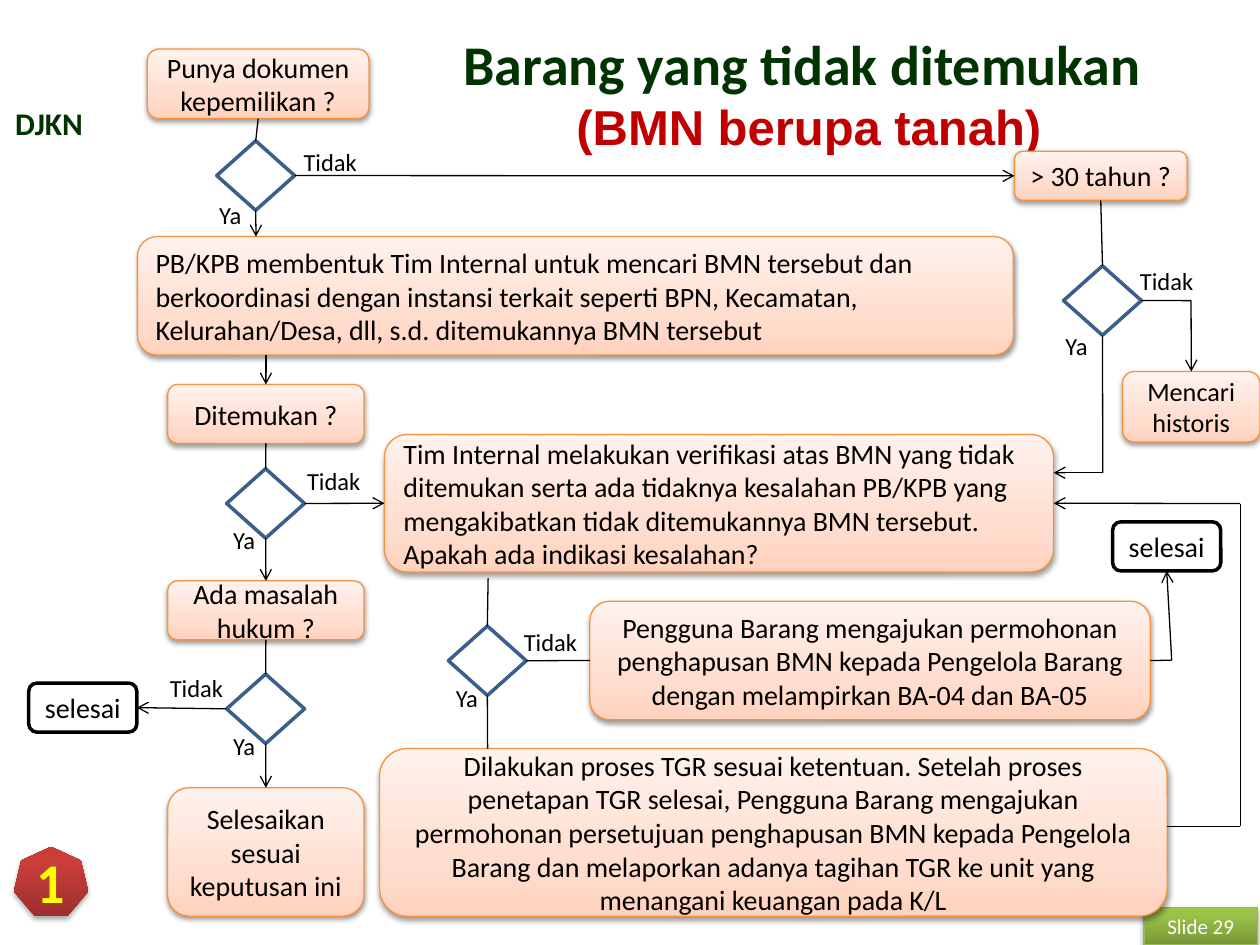
from dataclasses import dataclass
from typing import NamedTuple, Union

import lxml.etree
import pptx
import pptx.dml.color
import pptx.enum.dml
import pptx.enum.shapes
import pptx.enum.text
import pptx.oxml.ns
import pptx.util

Cm = pptx.util.Cm
Pt = pptx.util.Pt
qn = pptx.oxml.ns.qn
SHAPE = pptx.enum.shapes.MSO_SHAPE
ALIGN = pptx.enum.text.PP_ALIGN
TOP, LEFT, BOTTOM, RIGHT = range(4)
PEACH = ((0, "FFD2BD"), (35, "FFDED0"), (100, "FFF2ED"))
RED = ((0, "9C2F2D"), (80, "CB3E3A"), (100, "CE3B37"))
GREEN = ((0, "779737"), (80, "9BC348"), (100, "9DC746"))


class Point(NamedTuple):
    x: float
    y: float


class Side(NamedTuple):
    name: str
    site: int


class Link(NamedTuple):
    start: Union[Point, Side]
    end: Union[Point, Side]
    arrow: bool = False


@dataclass
class Step:
    name: str
    text: str
    x: float
    y: float
    width: float
    height: float
    size: int = 16
    align: int = ALIGN.CENTER
    final: bool = False


@dataclass
class Decision:
    name: str
    diamond: Point
    no: Point
    yes: Point
    no_align: int = ALIGN.LEFT


STEPS = [
    Step("tim", "PB/KPB membentuk Tim Internal untuk mencari BMN tersebut dan berkoordinasi dengan instansi terkait seperti BPN, Kecamatan, Kelurahan/Desa, dll, s.d. ditemukannya BMN tersebut", 2.77, 4.77, 17.66, 2.39, align=ALIGN.LEFT),
    Step("ditemukan", "Ditemukan ?", 3.38, 7.75, 3.96, 1.19),
    Step("verifikasi", "Tim Internal melakukan verifikasi atas BMN yang tidak ditemukan serta ada tidaknya kesalahan PB/KPB yang mengakibatkan tidak ditemukannya BMN tersebut. Apakah ada indikasi kesalahan?", 7.75, 8.76, 13.49, 2.77, align=ALIGN.LEFT),
    Step("tgr", "Dilakukan proses TGR sesuai ketentuan. Setelah proses penetapan TGR selesai, Pengguna Barang mengajukan permohonan persetujuan penghapusan BMN kepada Pengelola Barang dan melaporkan adanya tagihan TGR ke unit yang menangani keuangan pada K/L", 7.65, 15.09, 15.88, 3.38),
    Step("dokumen", "Punya dokumen kepemilikan ?", 2.97, 0.99, 4.47, 1.4),
    Step("tahun", "> 30 tahun ?", 20.45, 3.05, 3.48, 0.99),
    Step("historis", "Mencari historis", 22.63, 7.49, 2.77, 1.42, size=15),
    Step("penghapusan", "Pengguna Barang mengajukan permohonan penghapusan BMN kepada Pengelola Barang dengan melampirkan BA-04 dan BA-05", 11.89, 12.12, 11.3, 2.39),
    Step("hukum", "Ada masalah hukum ?", 3.38, 11.71, 3.96, 1.19),
    Step("selesai hukum", "selesai", 0.58, 13.77, 2.18, 0.99, final=True),
    Step("keputusan", "Selesaikan sesuai keputusan ini", 3.38, 15.88, 3.96, 2.59),
    Step("selesai hapus", "selesai", 22.43, 10.52, 2.18, 0.99, final=True),
]

DECISIONS = [
    Decision("dokumen?", Point(4.37, 2.84), Point(5.87, 2.84), Point(4.17, 3.91)),
    Decision("tahun?", Point(21.44, 5.36), Point(22.73, 5.23), Point(21.23, 6.55)),
    Decision("ditemukan?", Point(4.57, 9.45), Point(5.94, 9.27), Point(4.45, 10.46)),
    Decision("kesalahan?", Point(9.04, 12.62), Point(10.31, 12.52), Point(8.94, 13.64)),
    Decision("hukum?", Point(4.57, 13.59), Point(2.77, 13.44), Point(4.45, 14.61), ALIGN.RIGHT),
]

LINKS = [
    Link(Side("dokumen", BOTTOM), Side("dokumen?", TOP)),
    Link(Side("dokumen?", RIGHT), Side("tahun", LEFT), True),
    Link(Side("dokumen?", BOTTOM), Point(5.16, 4.77), True),
    Link(Side("tahun", BOTTOM), Side("tahun?", TOP)),
    Link(Side("tahun?", BOTTOM), Point(22.23, 9.53)),
    Link(Point(22.23, 9.53), Point(21.24, 9.53), True),
    Link(Side("tahun?", RIGHT), Point(24.01, 6.06)),
    Link(Point(24.01, 6.06), Side("historis", TOP), True),
    Link(Point(5.36, 7.16), Side("ditemukan", TOP), True),
    Link(Side("ditemukan", BOTTOM), Side("ditemukan?", TOP)),
    Link(Side("ditemukan?", RIGHT), Side("verifikasi", LEFT), True),
    Link(Side("ditemukan?", BOTTOM), Side("hukum", TOP), True),
    Link(Side("hukum", BOTTOM), Side("hukum?", TOP)),
    Link(Side("hukum?", LEFT), Side("selesai hukum", RIGHT), True),
    Link(Side("hukum?", BOTTOM), Side("keputusan", TOP), True),
    Link(Point(9.84, 11.66), Side("kesalahan?", TOP)),
    Link(Side("kesalahan?", RIGHT), Side("penghapusan", LEFT)),
    Link(Side("kesalahan?", BOTTOM), Point(9.83, 15.09)),
    Link(Side("penghapusan", RIGHT), Point(23.62, 13.31)),
    Link(Point(23.62, 13.31), Side("selesai hapus", BOTTOM), True),
    Link(Point(23.53, 16.66), Point(25, 16.66)),
    Link(Point(25, 16.66), Point(25, 10.15)),
    Link(Point(25, 10.15), Side("verifikasi", RIGHT), True),
]


def color(value: str):
    return pptx.dml.color.RGBColor.from_string(value)


def child(parent, tag: str, **attributes):
    return lxml.etree.SubElement(parent, qn(tag), attributes)


def style(span, size: float, value: str, bold: bool = False, font: str = "Calibri") -> None:
    span.font.size = Pt(size)
    span.font.name = font
    span.font.bold = bold
    span.font.color.rgb = color(value)


def write(box, text: str, size: float, value: str = "000000", align=ALIGN.CENTER, bold: bool = False) -> None:
    box.text_frame.word_wrap = True
    box.text_frame.text = text
    para = box.text_frame.paragraphs[0]
    para.alignment = align
    style(para.runs[0], size, value, bold)


def draw_text(page, text, x, y, width, height, size, **options):
    box = page.shapes.add_textbox(Cm(x), Cm(y), Cm(width), Cm(height))
    write(box, text, size, **options)
    box.text_frame.auto_size = pptx.enum.text.MSO_AUTO_SIZE.SHAPE_TO_FIT_TEXT


def draw_shape(page, kind, x, y, width, height, line=None, weight=0.75):
    box = page.shapes.add_shape(kind, Cm(x), Cm(y), Cm(width), Cm(height))
    box.shadow.inherit = False
    box.fill.background()
    if line:
        box.line.color.rgb = color(line)
        box.line.width = Pt(weight)
    else:
        box.line.fill.background()
    return box


def shade(box, stops, opacity: int, distance: float) -> None:
    box.fill.gradient()
    box.fill.gradient_angle = 90
    properties = box.element.spPr
    stop_list = properties.find(qn("a:gradFill")).find(qn("a:gsLst"))
    for stop in list(stop_list):
        stop_list.remove(stop)
    for position, value in stops:
        child(child(stop_list, "a:gs", pos=str(position * 1000)), "a:srgbClr", val=value)
    shadow = child(properties.find(qn("a:effectLst")), "a:outerShdw", blurRad=str(int(Pt(3.1))),
                   dist=str(int(Pt(distance))), dir="5400000", rotWithShape="0")
    child(child(shadow, "a:srgbClr", val="000000"), "a:alpha", val=str(opacity * 1000))


def draw_step(page, step: Step):
    line, weight = ("000000", 2) if step.final else ("F69240", 0.75)
    box = draw_shape(page, SHAPE.ROUNDED_RECTANGLE, step.x, step.y, step.width, step.height, line, weight)
    if step.final:
        box.fill.solid()
        box.fill.fore_color.rgb = color("FFFFFF")
    else:
        shade(box, PEACH, 38, 1.6)
    write(box, step.text, step.size, align=step.align)
    return box


def draw_decision(page, decision: Decision):
    box = draw_shape(page, SHAPE.DIAMOND, *decision.diamond, 1.57, 1.4, "3A5F8C", 2)
    draw_text(page, "Tidak", *decision.no, 1.98, 0.86, 14, align=decision.no_align)
    draw_text(page, "Ya", *decision.yes, 1.19, 0.86, 14, align=ALIGN.LEFT)
    return box


def draw_link(page, link: Link, boxes: dict) -> None:
    ends = [Cm(value) for end in (link.start, link.end)
            for value in (end if isinstance(end, Point) else (0, 0))]
    connector = page.shapes.add_connector(pptx.enum.shapes.MSO_CONNECTOR.STRAIGHT, *ends)
    for end, join in ((link.start, connector.begin_connect), (link.end, connector.end_connect)):
        if isinstance(end, Side):
            join(boxes[end.name], end.site)
    connector.line.color.rgb = color("000000")
    connector.line.width = Pt(0.75)
    properties = connector.element.spPr
    if link.arrow:
        child(properties.find(qn("a:ln")), "a:tailEnd", type="arrow")
    child(properties, "a:effectLst")


def draw_title(page) -> None:
    title = page.shapes.title
    title.left, title.top, title.width, title.height = Cm(8.05), Cm(0.76), Cm(16.51), Cm(2.21)
    frame = title.text_frame
    frame.text = "Barang yang tidak ditemukan \v(BMN berupa tanah)"
    frame.auto_size = pptx.enum.text.MSO_AUTO_SIZE.NONE
    frame.vertical_anchor = pptx.enum.text.MSO_ANCHOR.MIDDLE
    para = frame.paragraphs[0]
    para.alignment = ALIGN.CENTER
    style(para.runs[0], 32, "003300", True)
    style(para.runs[1], 28, "C00000", True, "Arial")


def main() -> None:
    deck = pptx.Presentation()
    deck.slide_width, deck.slide_height = Cm(25.4), Cm(19.05)
    page = deck.slides.add_slide(deck.slide_layouts[5])
    draw_title(page)
    draw_text(page, "DJKN", 0, 1.98, 1.98, 1.02, 18, value="003300", bold=True)
    badge = draw_shape(page, SHAPE.HEPTAGON, 0.28, 17.07, 1.5, 1.4)
    shade(badge, RED, 35, 1.8)
    write(badge, "1", 32, "FFFF00", bold=True)
    number = draw_shape(page, SHAPE.RECTANGLE, 23.06, 18.29, 2.29, 0.76, "98B955")
    shade(number, GREEN, 35, 1.8)
    write(number, "Slide 29", 12, "FFFFFF")
    boxes = {step.name: draw_step(page, step) for step in STEPS}
    boxes.update({decision.name: draw_decision(page, decision) for decision in DECISIONS})
    for link in LINKS:
        draw_link(page, link, boxes)
    deck.save("out.pptx")


if __name__ == "__main__":
    main()
